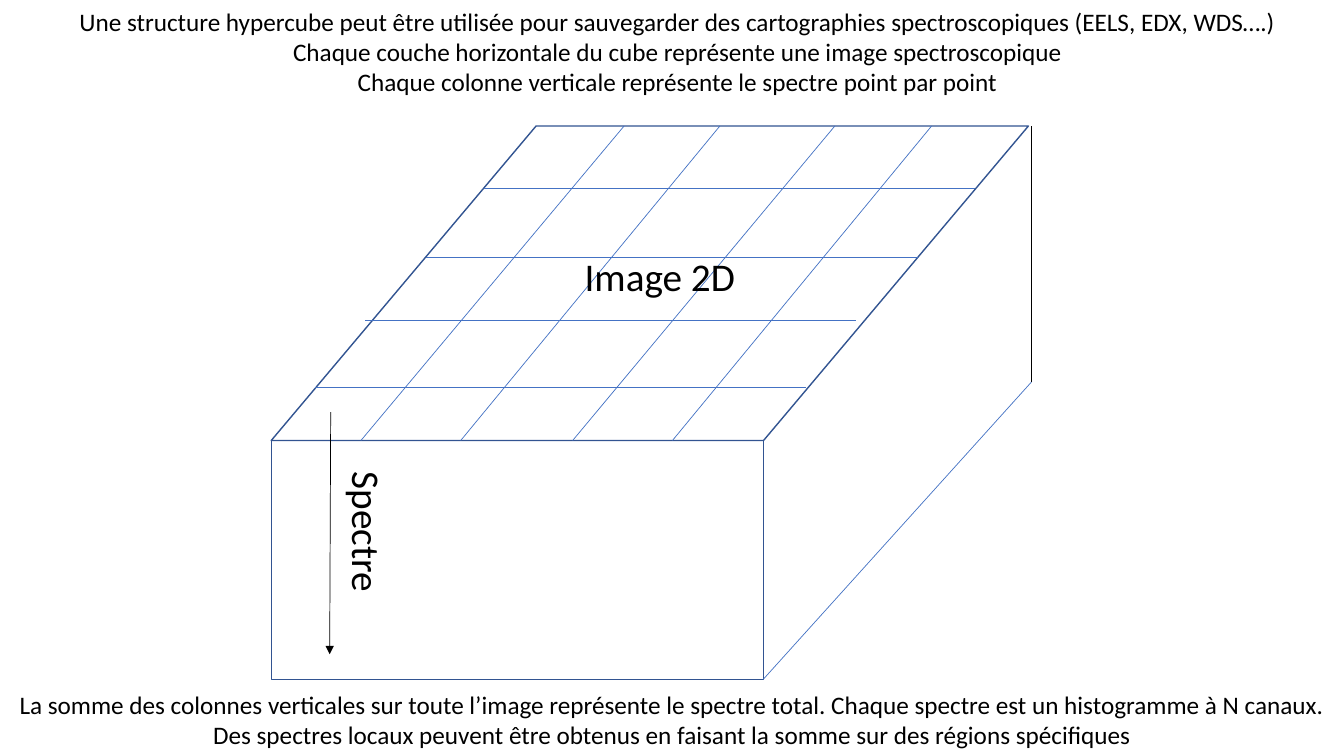
"""Builds a slide that explains a spectroscopic hypercube."""
from pptx import Presentation
from pptx.dml.color import RGBColor
from pptx.enum.shapes import MSO_CONNECTOR, MSO_SHAPE
from pptx.enum.text import MSO_AUTO_SIZE, PP_ALIGN
from pptx.oxml.ns import qn
from pptx.util import Inches, Pt
from lxml.etree import SubElement

BLACK = RGBColor(0x00, 0x00, 0x00)
WHITE = RGBColor(0xFF, 0xFF, 0xFF)
BLUE = RGBColor(0x44, 0x72, 0xC4)
NAVY = RGBColor(0x32, 0x54, 0x91)

INTRO = [
    "Une structure hypercube peut être utilisée pour sauvegarder des cartographies "
    "spectroscopiques (EELS, EDX, WDS….)",
    "Chaque couche horizontale du cube représente une image spectroscopique",
    "Chaque colonne verticale représente le spectre point par point",
]
SUMMARY = [
    "La somme des colonnes verticales sur toute l’image représente le spectre total. "
    "Chaque spectre est un histogramme à N canaux.",
    "Des spectres locaux peuvent être obtenus en faisant la somme sur des régions spécifiques",
]
TEXTS = [
    (["Image 2D"], (5.7, 2.45, 1.71, 0.57), 28, 0, False),
    (["Spectre"], (2.94, 5, 1.41, 0.57), 28, 90, False),
    (INTRO, (0.43, 0.01, 12.58, 1.01), 18, 0, True),
    (SUMMARY, (0, 6.79, 13.33, 0.71), 18, 0, True),
]

LEFT, TOP, EDGE, BOTTOM = 2.69, 1.25, 4.37, 6.74
FRONT_WIDTH, TOP_WIDTH, SLANT = 4.88, 7.51, 0.842
BACK_RIGHT, BACK_BOTTOM = 10.23, 3.79
COLUMNS = [(6.19, 3.58), (7.14, 4.57), (8.28, 5.68), (9.24, 6.67)]
ROWS = [(4.8, 1.87), (4.23, 2.55), (3.62, 3.18), (3.12, 3.84)]
ROW_WIDTH = 4.87


def add_face(page, kind, left, top, width, height):
    face = page.shapes.add_shape(kind, *map(Inches, (left, top, width, height)))
    face.shadow.inherit = False
    face.fill.solid()
    face.fill.fore_color.rgb = WHITE
    face.line.color.rgb = NAVY
    face.line.width = Pt(1)
    return face


def add_line(page, start, end, color, arrow=False):
    line = page.shapes.add_connector(MSO_CONNECTOR.STRAIGHT, *map(Inches, start + end))
    line.line.color.rgb = color
    line.line.width = Pt(0.5)
    properties = line._element.spPr
    if arrow:
        SubElement(properties.find(qn("a:ln")), qn("a:tailEnd"), type="triangle")
    SubElement(properties, qn("a:effectLst"))


def add_text(page, lines, place, size, rotation, centred):
    box = page.shapes.add_textbox(*map(Inches, place))
    box.rotation = rotation
    frame = box.text_frame
    frame.word_wrap = centred
    frame.auto_size = MSO_AUTO_SIZE.SHAPE_TO_FIT_TEXT
    for index, line in enumerate(lines):
        para = frame.add_paragraph() if index else frame.paragraphs[0]
        para.alignment = PP_ALIGN.CENTER if centred else PP_ALIGN.LEFT
        span = para.add_run()
        span.text = line
        span.font.name = "Calibri"
        span.font.size = Pt(size)
        span.font.color.rgb = BLACK


def main():
    deck = Presentation()
    deck.slide_width, deck.slide_height = Inches(13.33), Inches(7.5)
    page = deck.slides.add_slide(deck.slide_layouts[6])

    add_face(page, MSO_SHAPE.RECTANGLE, LEFT, EDGE, FRONT_WIDTH, BOTTOM - EDGE)
    image = add_face(page, MSO_SHAPE.PARALLELOGRAM, LEFT, TOP, TOP_WIDTH, EDGE - TOP)
    image.adjustments[0] = SLANT

    for back, front in COLUMNS:
        add_line(page, (back, TOP), (front, EDGE), BLUE)
    for left, height in ROWS:
        add_line(page, (left + ROW_WIDTH, height), (left, height), BLUE)

    add_line(page, (3.28, 4.09), (3.27, 6.49), BLACK, arrow=True)
    add_line(page, (BACK_RIGHT, TOP), (BACK_RIGHT, BACK_BOTTOM), BLACK)
    add_line(page, (LEFT + FRONT_WIDTH, BOTTOM), (BACK_RIGHT, BACK_BOTTOM), BLUE)

    for text in TEXTS:
        add_text(page, *text)
    deck.save("out.pptx")


if __name__ == "__main__":
    main()
